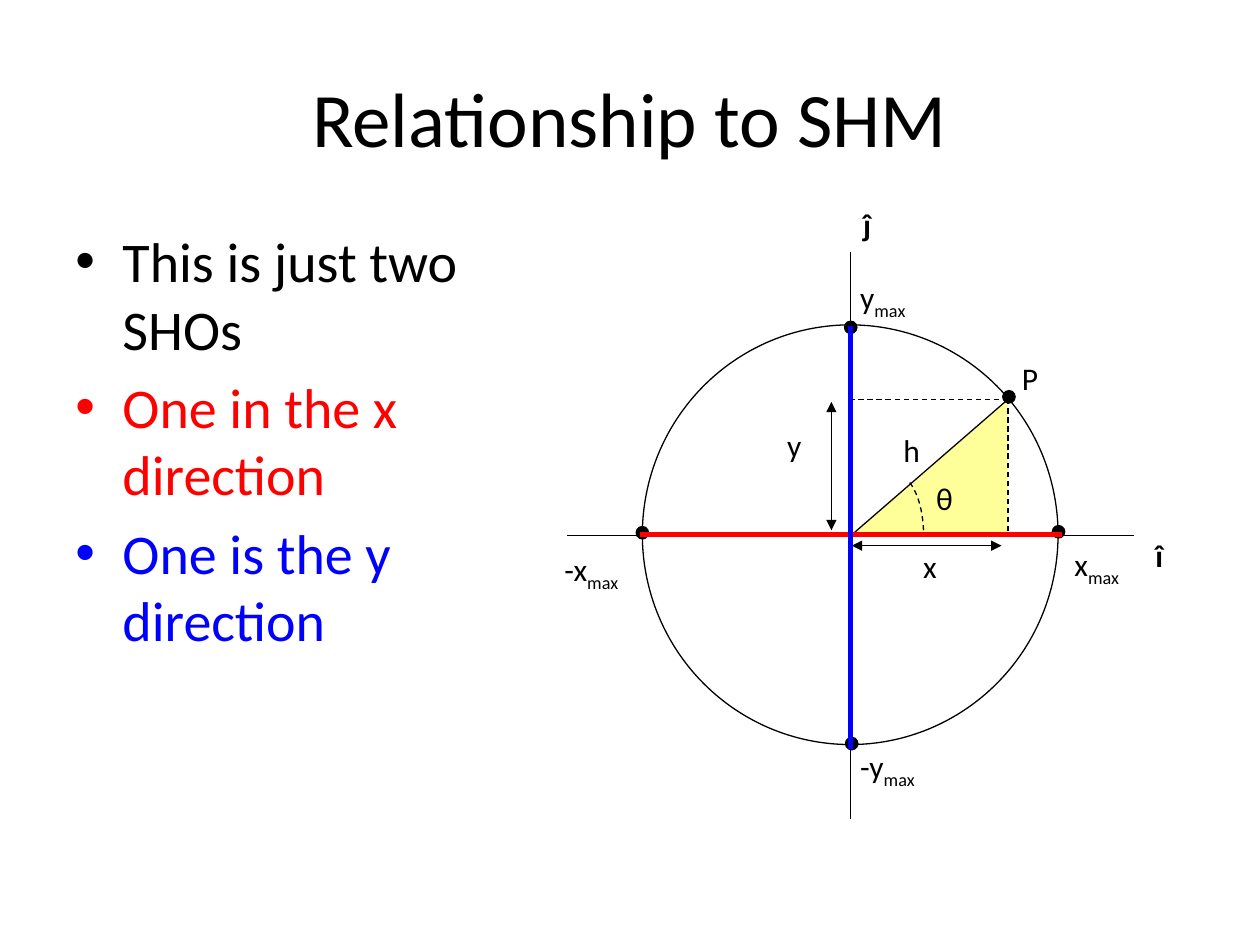
from dataclasses import dataclass
from typing import Optional

from lxml import etree
from pptx import Presentation
from pptx.dml.color import RGBColor
from pptx.enum.dml import MSO_LINE
from pptx.enum.shapes import MSO_CONNECTOR, MSO_SHAPE
from pptx.enum.text import MSO_ANCHOR, MSO_AUTO_SIZE, PP_ALIGN
from pptx.oxml.ns import qn
from pptx.util import Cm, Pt

STRAIGHT = MSO_CONNECTOR.STRAIGHT
OVAL, RIGHT_TRIANGLE = MSO_SHAPE.OVAL, MSO_SHAPE.RIGHT_TRIANGLE
DASH = MSO_LINE.DASH
CENTER, MIDDLE = PP_ALIGN.CENTER, MSO_ANCHOR.MIDDLE
FIT_SHAPE = MSO_AUTO_SIZE.SHAPE_TO_FIT_TEXT

FONT = "Calibri"
BLACK, RED, BLUE, YELLOW = "000000", "FF0000", "0000FF", "FFFF99"
THIN, THICK = 0.75, 3
DOT = 0.25
LABEL_HEIGHT = 1.02

# Key points of the diagram, in centimetres
ORIGIN_X, ORIGIN_Y = 17.15, 10.8
P_X, P_Y = 20.32, 8.05
AXIS_REACH = 5.72


@dataclass
class Label:
    text: str
    left: float
    top: float
    width: float
    subscript: str = ""
    bold: bool = False


@dataclass
class Segment:
    x1: float
    y1: float
    x2: float
    y2: float
    color: str = BLACK
    weight: float = THIN
    dashed: bool = False
    arrows: bool = False


AXES_AND_SIDES = [
    Segment(ORIGIN_X, ORIGIN_Y - AXIS_REACH, ORIGIN_X, ORIGIN_Y + AXIS_REACH),
    Segment(ORIGIN_X - AXIS_REACH, ORIGIN_Y, ORIGIN_X + AXIS_REACH, ORIGIN_Y),
    Segment(ORIGIN_X, ORIGIN_Y, P_X, P_Y),
    Segment(P_X, P_Y, P_X, ORIGIN_Y, dashed=True),
    Segment(P_X, P_Y, ORIGIN_X, P_Y, dashed=True),
    Segment(17.17, 11, 20.19, 11, arrows=True),
    Segment(16.76, 10.69, 16.76, 8.1, arrows=True),
]
OSCILLATIONS = [
    Segment(12.9, 10.77, 21.41, 10.77, RED, THICK),
    Segment(ORIGIN_X, 15.09, ORIGIN_X, 6.58, BLUE, THICK),
]
DOT_CENTERS = [(12.95, 10.74), (21.34, 10.72), (20.34, 8), (17.17, 14.99), (17.15, 6.6)]
LABELS = [
    Label("ĵ", 17.15, 4.01, 0.69, bold=True),
    Label("î", 23.04, 10.69, 0.69, bold=True),
    Label("θ", 18.62, 9.53, 0.84),
    Label("x", 18.36, 10.9, 0.84),
    Label("y", 15.62, 8.46, 0.84),
    Label("h", 17.96, 8.56, 0.86),
    Label("P", 20.35, 7.11, 0.94),
    Label("x", 21.41, 10.87, 1.63, "max"),
    Label("-x", 11.13, 10.97, 1.83, "max"),
    Label("-y", 17.09, 14.94, 1.83, "max"),
    Label("y", 17.09, 5.49, 1.63, "max"),
]
STATEMENTS = [
    ("This is just two SHOs", BLACK),
    ("One in the x direction", RED),
    ("One is the y direction", BLUE),
]


def rgb(value: str) -> RGBColor:
    return RGBColor.from_string(value)


def add_text(paragraph, text: str, *, size: float, color: str = BLACK,
             bold: bool = False, baseline: int = 0) -> None:
    run = paragraph.add_run()
    run.text = text
    run.font.name = FONT
    run.font.size = Pt(size)
    run.font.bold = bold
    run.font.color.rgb = rgb(color)
    if baseline:
        run.font._element.set("baseline", str(baseline * 1000))


def style_shape(shape, fill: Optional[str] = None, line: Optional[str] = None) -> None:
    shape.shadow.inherit = False
    if fill:
        shape.fill.solid()
        shape.fill.fore_color.rgb = rgb(fill)
    else:
        shape.fill.background()
    if line:
        shape.line.color.rgb = rgb(line)
        shape.line.width = Pt(THIN)
    else:
        shape.line.fill.background()


def draw_segment(slide, segment: Segment) -> None:
    connector = slide.shapes.add_connector(
        STRAIGHT, Cm(segment.x1), Cm(segment.y1), Cm(segment.x2), Cm(segment.y2))
    connector.line.color.rgb = rgb(segment.color)
    connector.line.width = Pt(segment.weight)
    if segment.dashed:
        connector.line.dash_style = DASH
    if segment.arrows:
        for end in ("a:headEnd", "a:tailEnd"):
            etree.SubElement(connector.line._get_or_add_ln(), qn(end), type="triangle")
    etree.SubElement(connector._element.spPr, qn("a:effectLst"))


def draw_label(slide, label: Label) -> None:
    box = slide.shapes.add_textbox(
        Cm(label.left), Cm(label.top), Cm(label.width), Cm(LABEL_HEIGHT))
    box.text_frame.word_wrap = False
    box.text_frame.auto_size = FIT_SHAPE
    paragraph = box.text_frame.paragraphs[0]
    add_text(paragraph, label.text, size=18, bold=label.bold)
    if label.subscript:
        add_text(paragraph, label.subscript, size=18, baseline=-25)


def draw_dot(slide, x: float, y: float) -> None:
    dot = slide.shapes.add_shape(OVAL, Cm(x - DOT / 2), Cm(y - DOT / 2), Cm(DOT), Cm(DOT))
    style_shape(dot, BLACK, BLACK)


def draw_angle_mark(slide, steps: int = 12) -> None:
    """Trace a cubic curve from the radius down to the x axis."""
    controls = [(18.34, 9.73), (18.52, 9.96), (18.62, 10.36), (18.62, 10.8)]
    points = []
    for step in range(steps + 1):
        t = step / steps
        weights = ((1 - t) ** 3, 3 * t * (1 - t) ** 2, 3 * t * t * (1 - t), t ** 3)
        points.append(tuple(
            Cm(sum(w * point[axis] for w, point in zip(weights, controls)))
            for axis in (0, 1)))
    builder = slide.shapes.build_freeform(*points[0])
    builder.add_line_segments(points[1:], close=False)
    mark = builder.convert_to_shape()
    style_shape(mark, line=BLACK)
    mark.line.dash_style = DASH


def fill_title(slide) -> None:
    title = slide.shapes.title
    title.left, title.top, title.width, title.height = Cm(1.27), Cm(0.76), Cm(22.86), Cm(3.18)
    title.text_frame.vertical_anchor = MIDDLE
    paragraph = title.text_frame.paragraphs[0]
    paragraph.alignment = CENTER
    add_text(paragraph, "Relationship to SHM", size=44)


def draw_statements(slide) -> None:
    frame = slide.shapes.add_textbox(Cm(1.27), Cm(4.45), Cm(9.65), Cm(12.57)).text_frame
    frame.word_wrap = True
    for index, (statement, color) in enumerate(STATEMENTS):
        paragraph = frame.add_paragraph() if index else frame.paragraphs[0]
        paragraph.space_before = Pt(6.4)
        properties = paragraph._p.get_or_add_pPr()
        properties.set("marL", str(Cm(0.95)))
        properties.set("indent", str(-Cm(0.95)))
        etree.SubElement(properties, qn("a:buFont"), typeface="Arial")
        etree.SubElement(properties, qn("a:buChar"), char="•")
        add_text(paragraph, statement, size=32, color=color)


def draw_diagram(slide) -> None:
    triangle = slide.shapes.add_shape(
        RIGHT_TRIANGLE, Cm(ORIGIN_X), Cm(P_Y), Cm(P_X - ORIGIN_X), Cm(ORIGIN_Y - P_Y))
    triangle._element.spPr.xfrm.set("flipH", "1")
    style_shape(triangle, YELLOW)
    circle = slide.shapes.add_shape(OVAL, Cm(12.95), Cm(6.55), Cm(8.38), Cm(8.46))
    style_shape(circle, line=BLACK)
    for segment in AXES_AND_SIDES:
        draw_segment(slide, segment)
    draw_angle_mark(slide)
    for label in LABELS:
        draw_label(slide, label)
    for x, y in DOT_CENTERS:
        draw_dot(slide, x, y)
    for segment in OSCILLATIONS:
        draw_segment(slide, segment)


def main() -> None:
    deck = Presentation()
    deck.slide_width, deck.slide_height = Cm(25.4), Cm(19.05)
    slide = deck.slides.add_slide(deck.slide_layouts[5])
    fill_title(slide)
    draw_statements(slide)
    draw_diagram(slide)
    deck.save("out.pptx")


if __name__ == "__main__":
    main()
